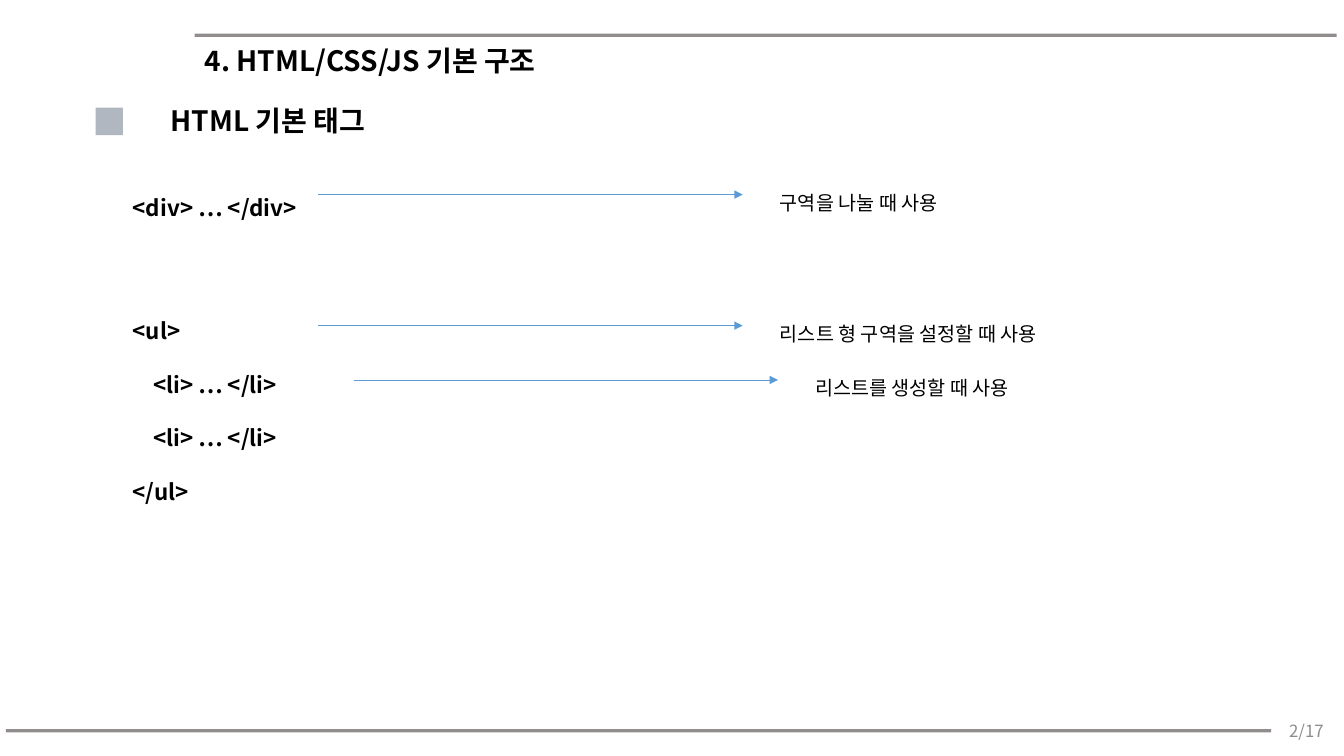
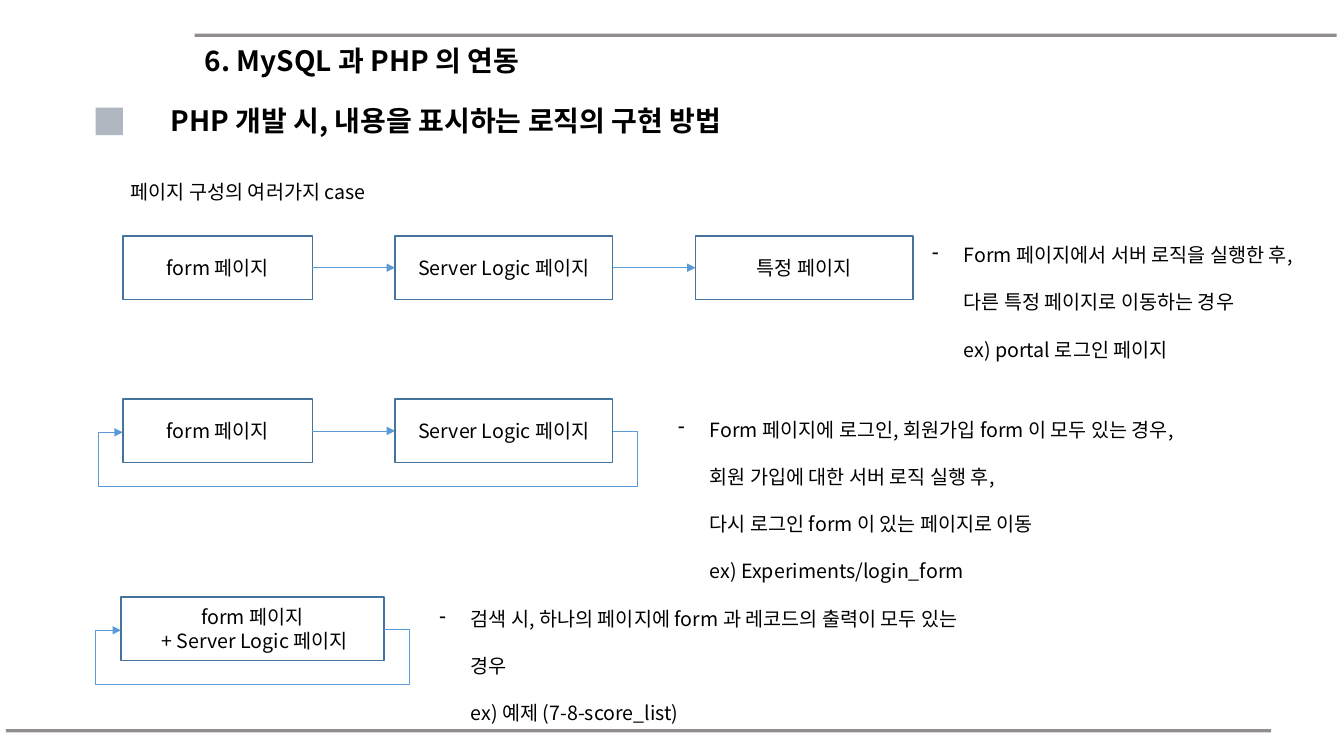
"""Build two lecture slides on HTML tags and PHP page flows."""
from dataclasses import dataclass

from lxml import etree
from pptx import Presentation
from pptx import util as u
from pptx.dml.color import RGBColor
from pptx.enum import shapes, text
from pptx.oxml import ns

Pt = u.Pt
FONT = "Noto Sans CJK KR"
COLORS = {
    "ink": "000000",
    "rule": "767171",
    "page": "8C8C8C",
    "marker": "B0B7C1",
    "arrow": "5B9BD5",
    "border": "43739E",
}
BOX_HEIGHT = 45.4
LOOP_SIDE = 18
LOOP_DROP = 40
ARROW_LENGTH = 303
HANGING = 22.5


@dataclass(frozen=True)
class TagNote:
    """An arrow from a tag to its explanation."""
    left: float
    top: float
    meaning: str


@dataclass(frozen=True)
class Page:
    """One page box in a flow."""
    label: str
    left: float
    width: float


@dataclass(frozen=True)
class Flow:
    """A row of linked pages with its explanation."""
    top: float
    pages: tuple[Page, ...]
    loops: bool
    note: str
    note_at: tuple[float, float, float, float]


FORM = Page("form 페이지", 87.8, 135.4)
SERVER = Page("Server Logic 페이지", 282.2, 155.5)

TAG_NOTES = (
    TagNote(227.5, 139, "구역을 나눌 때 사용"),
    TagNote(227.5, 232.6, "리스트 형 구역을 설정할 때 사용"),
    TagNote(252.7, 271.4, "리스트를 생성할 때 사용"),
)
FLOWS = (
    Flow(168.5, (FORM, SERVER, Page("특정 페이지", 496.8, 155.5)), False,
         "Form 페이지에서 서버 로직을 실행한 후,\n다른 특정 페이지로 이동하는 경우\n"
         "ex) portal 로그인 페이지", (658.8, 153.4, 296, 108.7)),
    Flow(285.1, (FORM, SERVER), True,
         "Form 페이지에 로그인, 회원가입 form 이 모두 있는 경우,\n"
         "회원 가입에 대한 서버 로직 실행 후,\n다시 로그인 form 이 있는 페이지로 이동\n"
         "ex) Experiments/login_form", (477.4, 277.9, 401, 143.3)),
    Flow(426.5, (Page("form 페이지\n + Server Logic 페이지", 86.4, 188),), True,
         "검색 시, 하나의 페이지에 form 과 레코드의 출력이 모두 있는 경우\n"
         "ex) 예제 (7-8-score_list)", (306.7, 413.3, 401, 108.7)),
)


def rgb(name: str) -> RGBColor:
    """Look up a palette colour."""
    return RGBColor.from_string(COLORS[name])


def place(shape, left: float, top: float, width: float, height: float):
    """Move and size a shape in points."""
    shape.left, shape.top, shape.width, shape.height = map(Pt, (left, top, width, height))


def write(shape, content: str, *, size: float = 14, bold: bool = False, color: str = "ink",
          align=text.PP_ALIGN.LEFT, anchor=text.MSO_ANCHOR.TOP, spacing: float = 1,
          hanging: float = 0, bullet: str = ""):
    """Fill a shape with formatted text, one paragraph per line."""
    frame = shape.text_frame
    frame.word_wrap = True
    frame.auto_size = text.MSO_AUTO_SIZE.NONE
    frame.vertical_anchor = anchor
    frame.text = content
    for index, paragraph in enumerate(frame.paragraphs):
        paragraph.alignment = align
        paragraph.line_spacing = spacing
        paragraph.space_before = Pt(0)
        props = paragraph._p.get_or_add_pPr()
        marked = bool(bullet) and index == 0
        props.set("marL", str(Pt(hanging)))
        props.set("indent", str(-Pt(hanging) if marked else 0))
        if marked:
            etree.SubElement(props, ns.qn("a:buChar"), char=bullet)
        else:
            etree.SubElement(props, ns.qn("a:buNone"))
        for run in paragraph.runs:
            font = run.font
            font.size, font.bold, font.name = Pt(size), bold, FONT
            font.color.rgb = rgb(color)
            latin = run._r.rPr.find(ns.qn("a:latin"))
            latin.addnext(latin.makeelement(ns.qn("a:ea"), {"typeface": FONT}))


def add_text(slide, at: tuple[float, float, float, float], content: str, **style):
    """Add a formatted text box."""
    write(slide.shapes.add_textbox(*map(Pt, at)), content, **style)


def add_line(slide, start: tuple[float, float], end: tuple[float, float], *,
             color: str = "arrow", width: float = 0.5, arrow: bool = True,
             kind=shapes.MSO_CONNECTOR.STRAIGHT):
    """Add a line, with or without an arrowhead."""
    line = slide.shapes.add_connector(kind, *map(Pt, start + end))
    line.line.color.rgb = rgb(color)
    line.line.width = Pt(width)
    if arrow:
        etree.SubElement(line.line._get_or_add_ln(), ns.qn("a:tailEnd"), type="triangle")
    etree.SubElement(line._element.spPr, ns.qn("a:effectLst"))
    return line


def add_rule(slide, left: float, right: float, top: float):
    """Add a translucent grey rule."""
    rule = add_line(slide, (left, top), (right, top), color="rule", width=2.25, arrow=False)
    tint = rule._element.spPr.find(".//" + ns.qn("a:srgbClr"))
    etree.SubElement(tint, ns.qn("a:alpha"), val="80000")


def add_loop(slide, first: Page, last: Page, middle: float):
    """Add an arrow from the last page under the row back to the first."""
    right = last.left + last.width
    loop = add_line(slide, (right, middle), (first.left, middle + 1),
                    kind=shapes.MSO_CONNECTOR.ELBOW)
    overhang = LOOP_SIDE / (right - first.left)
    geometry = loop._element.spPr.find(ns.qn("a:prstGeom"))
    geometry.set("prst", "bentConnector5")
    guides = geometry.find(ns.qn("a:avLst"))
    for number, share in enumerate((-overhang, LOOP_DROP, 1 + overhang), 1):
        etree.SubElement(guides, ns.qn("a:gd"), name=f"adj{number}",
                         fmla=f"val {round(share * 100000)}")


def add_rect(slide, at: tuple[float, float, float, float], *, fill: str = "", border: str = ""):
    """Add a plain rectangle."""
    rect = slide.shapes.add_shape(shapes.MSO_SHAPE.RECTANGLE, *map(Pt, at))
    rect.shadow.inherit = False
    if fill:
        rect.fill.solid()
        rect.fill.fore_color.rgb = rgb(fill)
    else:
        rect.fill.background()
    if border:
        rect.line.color.rgb = rgb(border)
        rect.line.width = Pt(1)
    else:
        rect.line.fill.background()
    return rect


def add_slide(deck, chapter: str, topic: str):
    """Add a slide with chapter title, topic heading and rules."""
    slide = deck.slides.add_slide(deck.slide_layouts[1])
    title, heading = slide.shapes.title, slide.placeholders[1]
    place(title, 139, 25.2, 749.5, 35.3)
    write(title, chapter, size=20, bold=True, anchor=text.MSO_ANCHOR.MIDDLE)
    place(heading, 114.5, 70.6, 600, 31.7)
    write(heading, topic, size=20, bold=True)
    add_rule(slide, 139, 954.7, 25.2)
    add_rule(slide, 4.3, 908, 522)
    add_rect(slide, (68.4, 77, 19.5, 19.5), fill="marker")
    return slide


def add_flow(slide, flow: Flow):
    """Draw a row of pages, its arrows and its note."""
    middle = flow.top + BOX_HEIGHT / 2
    for page in flow.pages:
        box = add_rect(slide, (page.left, flow.top, page.width, BOX_HEIGHT), border="border")
        write(box, page.label, align=text.PP_ALIGN.CENTER, anchor=text.MSO_ANCHOR.MIDDLE)
    for page, following in zip(flow.pages, flow.pages[1:]):
        add_line(slide, (page.left + page.width, middle), (following.left, middle))
    if flow.loops:
        add_loop(slide, flow.pages[0], flow.pages[-1], middle)
    add_text(slide, flow.note_at, flow.note, spacing=2, hanging=HANGING, bullet="-")


def main():
    """Build and save the deck."""
    deck = Presentation()
    deck.slide_width, deck.slide_height = Pt(960), Pt(540)

    tags = add_slide(deck, "4. HTML/CSS/JS 기본 구조", "HTML 기본 태그")
    add_text(tags, (905.8, 507.6, 46.8, 28.8), "2/17", size=12, color="page",
             align=text.PP_ALIGN.RIGHT, anchor=text.MSO_ANCHOR.MIDDLE)
    code = {"size": 16, "bold": True, "spacing": 2}
    add_text(tags, (87.8, 115.9, 140, 46), "<div> … </div>", **code)
    add_text(tags, (87.8, 203.8, 140, 163),
             "<ul>\n    <li> … </li>\n    <li> … </li>\n</ul>", **code)
    for note in TAG_NOTES:
        add_line(tags, (note.left, note.top), (note.left + ARROW_LENGTH, note.top))
        add_text(tags, (note.left + 322.5, note.top - 23, 240, 36), note.meaning, spacing=2)

    flows = add_slide(deck, "6. MySQL 과 PHP 의 연동",
                      "PHP 개발 시, 내용을 표시하는 로직의 구현 방법")
    add_text(flows, (86.4, 108, 236, 36), "페이지 구성의 여러가지 case", spacing=2)
    for flow in FLOWS:
        add_flow(flows, flow)

    deck.save("out.pptx")


if __name__ == "__main__":
    main()
